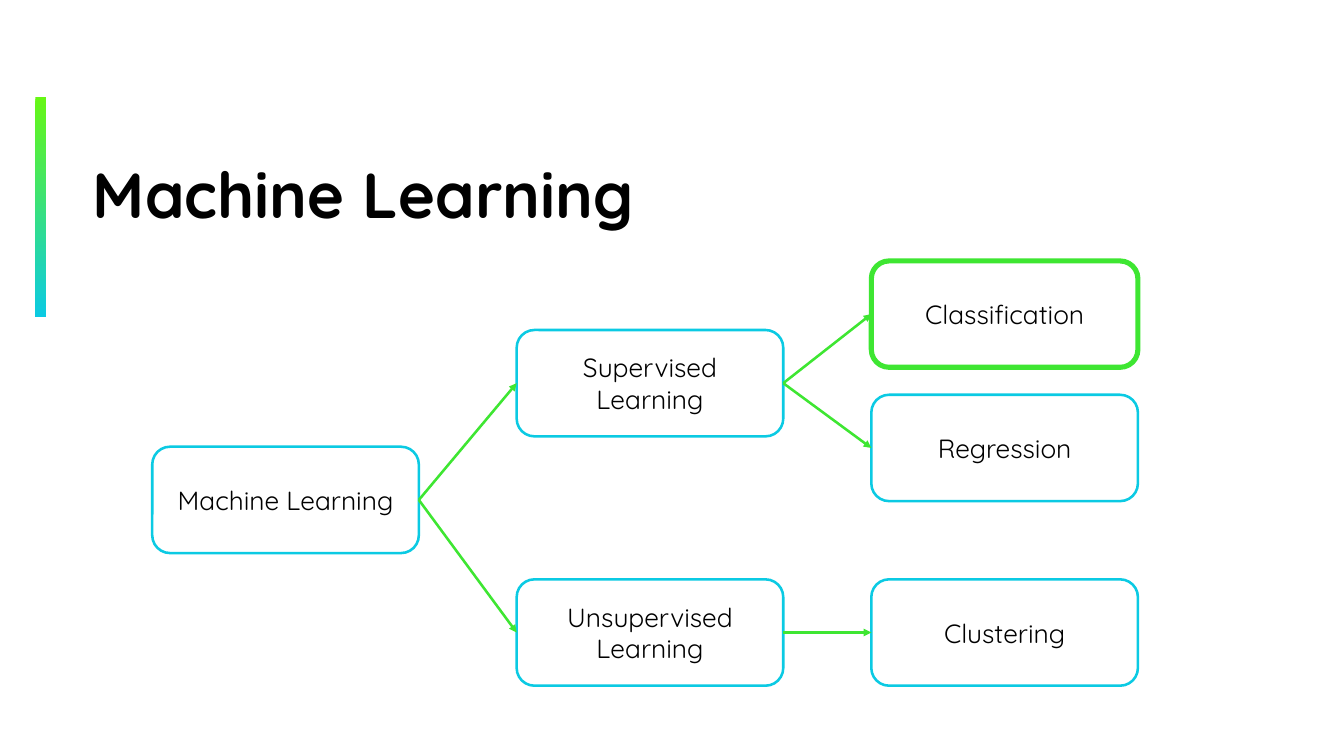
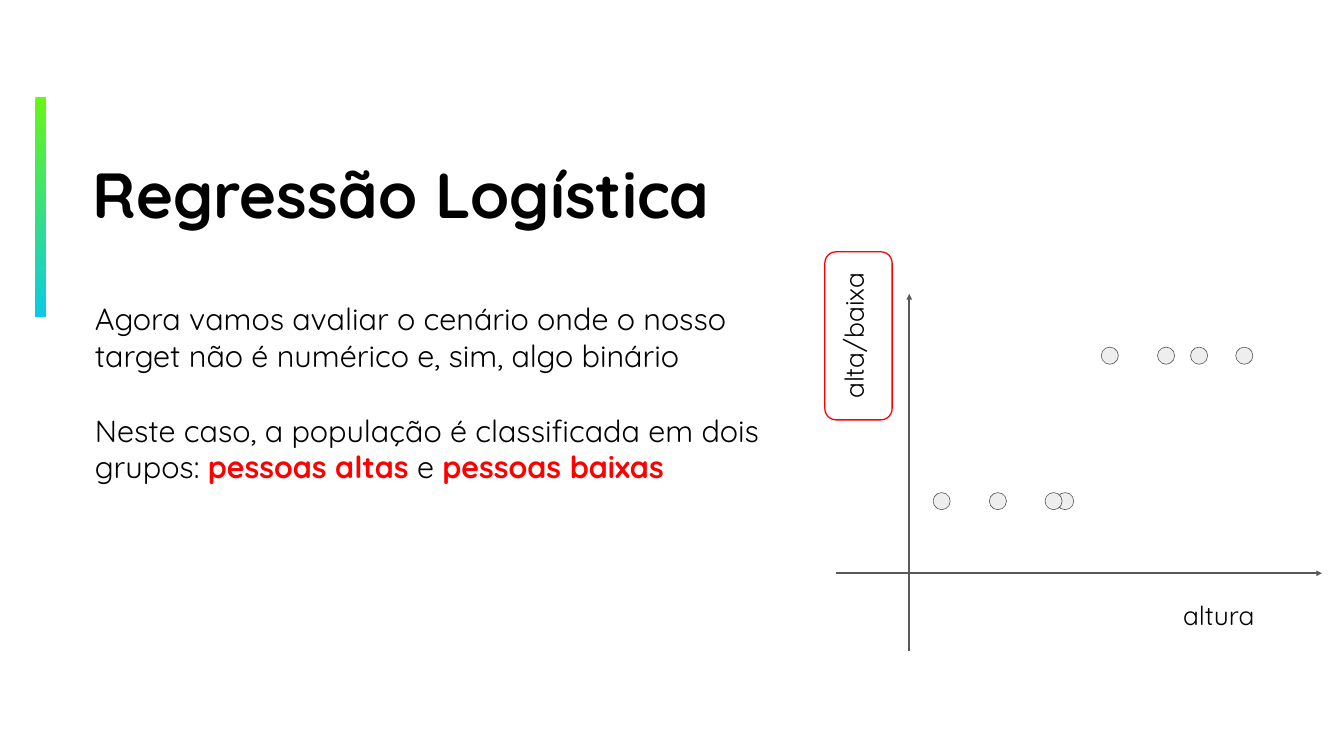
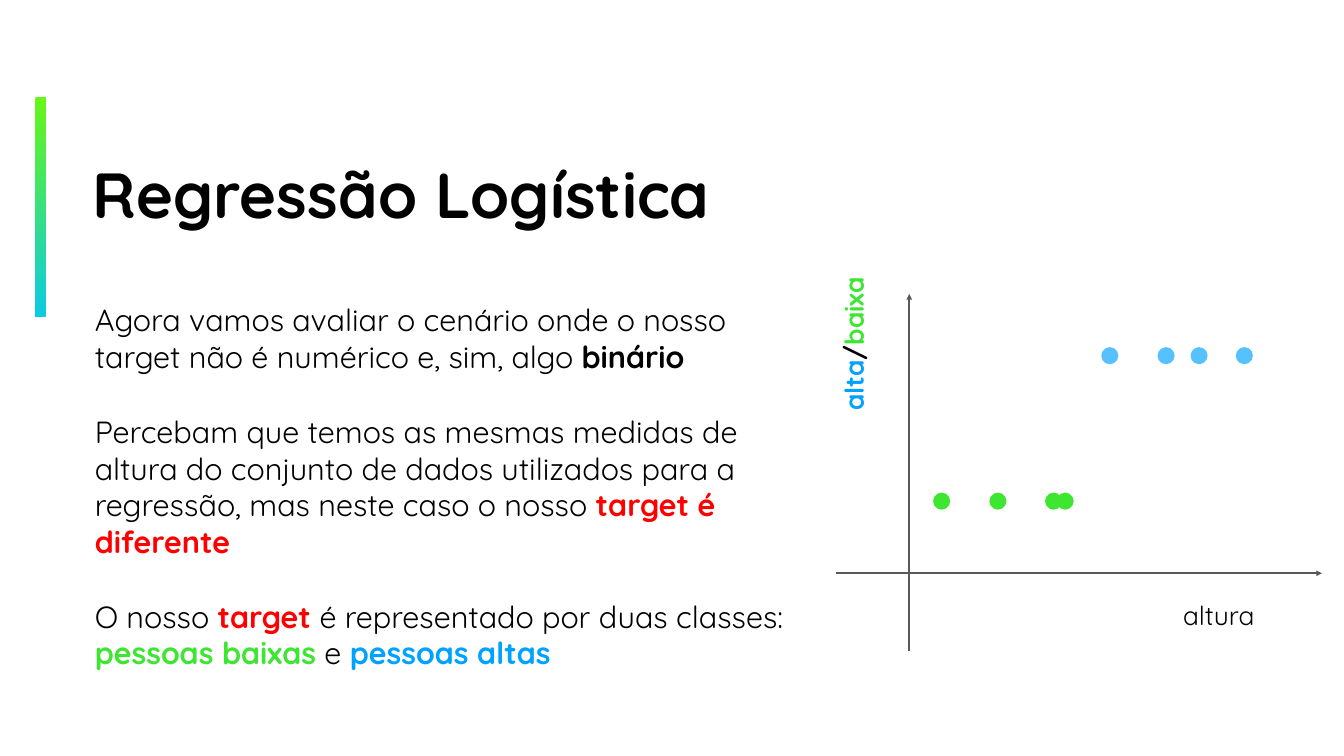
from lxml.etree import SubElement
from pptx import Presentation
from pptx.dml.color import RGBColor
from pptx.enum.shapes import MSO_CONNECTOR, MSO_SHAPE
from pptx.enum.text import MSO_ANCHOR, PP_ALIGN
from pptx.oxml.ns import qn
from pptx.util import Inches, Pt

FONT = "Quicksand"
BLACK = RGBColor(0x00, 0x00, 0x00)
WHITE = RGBColor(0xFF, 0xFF, 0xFF)
LIME = RGBColor(0x67, 0xF7, 0x14)
CYAN = RGBColor(0x0B, 0xCA, 0xE3)
GREEN = RGBColor(0x3E, 0xE6, 0x32)
BLUE = RGBColor(0x00, 0xA2, 0xFF)
SKY = RGBColor(0x55, 0xC1, 0xFF)
RED = RGBColor(0xFF, 0x00, 0x00)
GRAY = RGBColor(0x59, 0x59, 0x59)
PALE = RGBColor(0xEE, 0xEE, 0xEE)


def write(tf, paragraphs, size, inset=0.22, align=PP_ALIGN.LEFT, gap=0):
    tf.word_wrap = True
    tf.margin_left = tf.margin_right = Inches(inset)
    tf.margin_top = tf.margin_bottom = Inches(inset)
    for i, runs in enumerate(paragraphs):
        p = tf.add_paragraph() if i else tf.paragraphs[0]
        p.alignment = align
        p.space_before = Pt(gap if i else 0)
        for text, color, bold in runs:
            r = p.add_run()
            r.text = text
            r.font.name = FONT
            r.font.size = Pt(size)
            r.font.bold = bold
            r.font.color.rgb = color


def add_arrow(s, x1, y1, x2, y2, color, width):
    cx = s.shapes.add_connector(
        MSO_CONNECTOR.STRAIGHT, Inches(x1), Inches(y1), Inches(x2), Inches(y2))
    cx.line.color.rgb = color
    cx.line.width = Pt(width)
    SubElement(cx.line._get_or_add_ln(), qn("a:tailEnd"), type="triangle")
    SubElement(cx._element.spPr, qn("a:effectLst"))
    return cx


prs = Presentation()
prs.slide_width = Inches(21.98)
prs.slide_height = Inches(12.37)

layout = prs.slide_layouts[5]
title = layout.placeholders[0]
title.left, title.top = Inches(1.3), Inches(2.56)
title.width, title.height = Inches(14.48), Inches(1.88)
title.text_frame.vertical_anchor = MSO_ANCHOR.TOP

slides = []
for text in ["Machine Learning", "Regressão Logística", "Regressão Logística"]:
    s = prs.slides.add_slide(layout)
    tf = s.shapes.title.text_frame
    write(tf, [[(text, BLACK, True)]], 75)
    tf.paragraphs[0].line_spacing = 0.8
    slides.append(s)

bar = slides[0].shapes.add_shape(
    MSO_SHAPE.RECTANGLE, Inches(0.58), Inches(1.58), Inches(0.18), Inches(3.61))
bar.shadow.inherit = False
bar.line.fill.background()
bar.fill.gradient()
bar.fill.gradient_angle = 270
for stop, color in zip(bar.fill.gradient_stops, [LIME, CYAN]):
    stop.color.rgb = color
layout.shapes._spTree.insert(2, bar._element)

s = slides[0]
BOX_W, BOX_H = 4.36, 1.74
nodes = [
    ("Machine Learning", 2.49, 7.31),
    ("Supervised Learning", 8.45, 5.4),
    ("Unsupervised Learning", 8.45, 9.48),
    ("Clustering", 14.25, 9.48),
    ("Regression", 14.25, 6.46),
    ("Classification", 14.25, 4.27),
]
boxes = {}
for name, x, y in nodes:
    sp = s.shapes.add_shape(
        MSO_SHAPE.ROUNDED_RECTANGLE, Inches(x), Inches(y), Inches(BOX_W), Inches(BOX_H))
    highlighted = name == "Classification"
    sp.shadow.inherit = False
    sp.fill.solid()
    sp.fill.fore_color.rgb = WHITE
    sp.line.color.rgb = GREEN if highlighted else CYAN
    sp.line.width = Pt(6 if highlighted else 3)
    sp.text_frame.vertical_anchor = MSO_ANCHOR.MIDDLE
    write(sp.text_frame, [[(name, BLACK, False)]], 31, align=PP_ALIGN.CENTER)
    boxes[name] = sp

links = [
    ("Machine Learning", "Supervised Learning"),
    ("Machine Learning", "Unsupervised Learning"),
    ("Supervised Learning", "Classification"),
    ("Supervised Learning", "Regression"),
    ("Unsupervised Learning", "Clustering"),
]
for parent, child in links:
    cx = add_arrow(s, 0, 0, 1, 1, GREEN, 3)
    cx.begin_connect(boxes[parent], 3)
    cx.end_connect(boxes[child], 1)

intro = "Agora vamos avaliar o cenário onde o nosso target não é numérico e, sim, algo "
binary_text = [
    [(intro + "binário", BLACK, False)],
    [("Neste caso, a população é classificada em dois grupos: ", BLACK, False),
     ("pessoas altas", RED, True), (" e ", BLACK, False), ("pessoas baixas", RED, True)],
]
classes_text = [
    [(intro, BLACK, False), ("binário", BLACK, True)],
    [("Percebam que temos as mesmas medidas de altura do conjunto de dados utilizados "
      "para a regressão, mas neste caso o nosso ", BLACK, False),
     ("target é diferente", RED, True)],
    [("O nosso ", BLACK, False), ("target ", RED, True),
     ("é representado por duas classes: ", BLACK, False),
     ("pessoas baixas", GREEN, True), (" e ", BLACK, False), ("pessoas altas", BLUE, True)],
]
plain_label = [("alta/baixa", BLACK, False)]
class_label = [("alta", BLUE, True), ("/", BLACK, True), ("baixa", GREEN, True)]

DOT = 0.28
LABEL_H = 0.97
LABEL_X, LABEL_Y = 13.96, 5.44
short_dots = (8.06, [15.26, 16.18, 17.28, 17.09])
tall_dots = (5.68, [18.01, 18.93, 19.47, 20.21])
plots = [
    (slides[1], binary_text, 4.86, 3.17, plain_label, 2.61, PALE, PALE, GRAY),
    (slides[2], classes_text, 4.88, 6.28, class_label, 2.81, GREEN, SKY, None),
]
for s, body, top, height, label, label_w, short_fill, tall_fill, outline in plots:
    tb = s.shapes.add_textbox(Inches(1.5), Inches(top), Inches(11.37), Inches(height))
    write(tb.text_frame, body, 36, inset=0.05, gap=45)

    add_arrow(s, 14.87, 10.65, 14.87, 4.81, GRAY, 2.25)
    add_arrow(s, 13.67, 9.38, 21.62, 9.38, GRAY, 2.25)

    tb = s.shapes.add_textbox(
        Inches(LABEL_X - label_w / 2), Inches(LABEL_Y - LABEL_H / 2),
        Inches(label_w), Inches(LABEL_H))
    tb.rotation = 270
    write(tb.text_frame, [label], 31)
    if s is slides[2]:
        tb.top = Inches(5.05)

    tb = s.shapes.add_textbox(Inches(19.13), Inches(9.58), Inches(1.94), Inches(LABEL_H))
    write(tb.text_frame, [[("altura", BLACK, False)]], 31)

    for (y, xs), fill in [(short_dots, short_fill), (tall_dots, tall_fill)]:
        for x in xs:
            sp = s.shapes.add_shape(
                MSO_SHAPE.OVAL, Inches(x), Inches(y), Inches(DOT), Inches(DOT))
            sp.shadow.inherit = False
            sp.fill.solid()
            sp.fill.fore_color.rgb = fill
            if outline:
                sp.line.color.rgb = outline
                sp.line.width = Pt(0.75)
            else:
                sp.line.fill.background()

frame = slides[1].shapes.add_shape(
    MSO_SHAPE.ROUNDED_RECTANGLE, Inches(13.49), Inches(4.12), Inches(1.1), Inches(2.75))
frame.shadow.inherit = False
frame.fill.background()
frame.line.color.rgb = RED
frame.line.width = Pt(1.5)

prs.save("out.pptx")
